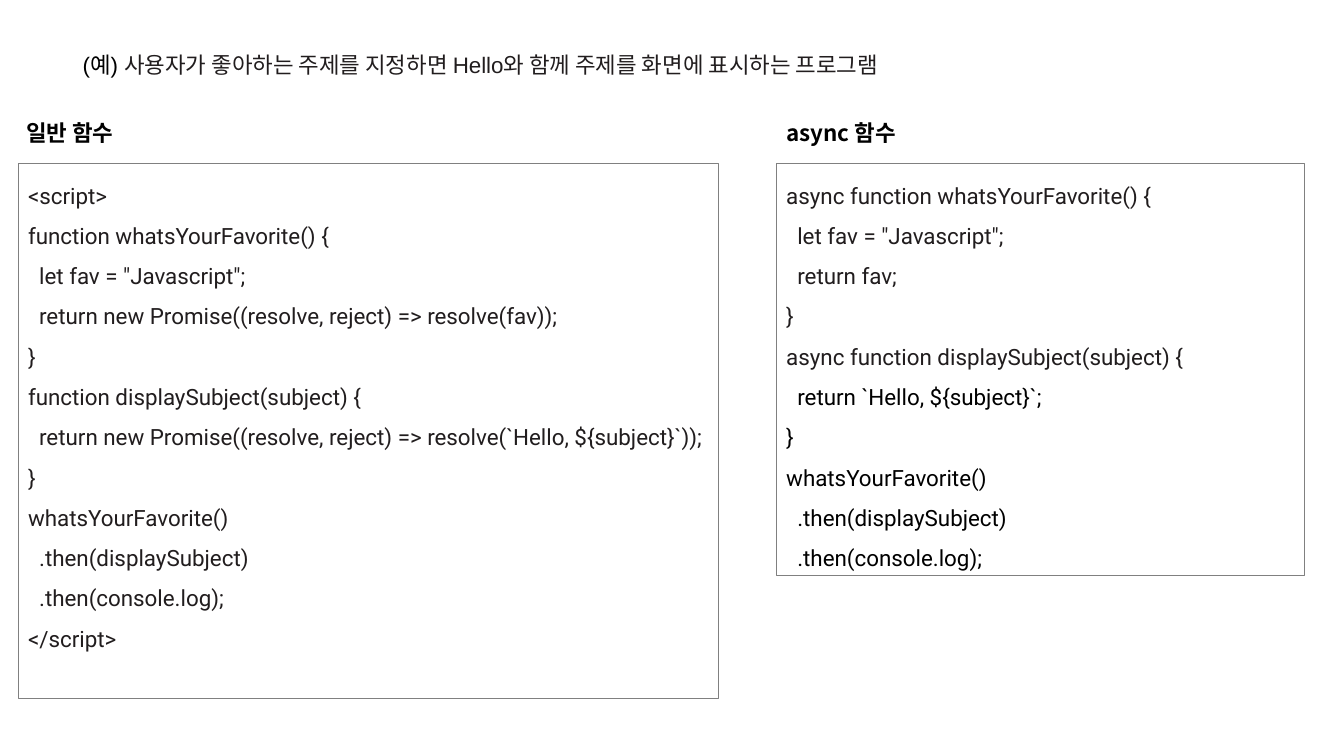
from lxml import etree
from pptx import Presentation, util as u
from pptx.dml.color import RGBColor
from pptx.enum import shapes, text
from pptx.oxml.ns import qn

BLACK, INK, GREY = "000000", "211D1E", "808080"
KOREAN, LATIN, CODE = "Noto Sans CJK KR", "Arial", "Roboto"
LEFT_COLUMN, RIGHT_COLUMN = 0.18, 7.7
HEADING_TOP, CODE_TOP = 1.13, 1.62

PROMISE_CODE = """<script>
function whatsYourFavorite() {
  let fav = "Javascript";
  return new Promise((resolve, reject) => resolve(fav));
}
function displaySubject(subject) {
  return new Promise((resolve, reject) => resolve(`Hello, ${subject}`));
}
whatsYourFavorite()
  .then(displaySubject)
  .then(console.log);
</script>"""

ASYNC_CODE = """async function whatsYourFavorite() {
  let fav = "Javascript";
  return fav;
}
async function displaySubject(subject) {
  return `Hello, ${subject}`;
}
whatsYourFavorite()
  .then(displaySubject)
  .then(console.log);"""


def color(value):
    """Turn a hex string into a colour."""
    return RGBColor.from_string(value)


class SlideBuilder:
    """Holds the text style and the current slide."""

    size = u.Pt(16)
    code_indent = u.Inches(0.11)

    def __init__(self, deck):
        """Add a title-only page to the deck."""
        self.page = deck.slides.add_slide(deck.slide_layouts[5])

    def style(self, font, name, ink, bold=False):
        """Apply the shared size with a face, colour and weight."""
        font.name, font.size, font.bold = name, self.size, bold
        font.color.rgb = color(ink)

    def east_asian(self, span):
        """Set the Korean face of a run."""
        face = etree.SubElement(span.font._element, qn("a:ea"))
        face.set("typeface", KOREAN)

    def frame(self, shape):
        """Prepare a shape's text frame: wrapped, top aligned, fixed size."""
        frame = shape.text_frame
        frame.word_wrap = True
        frame.auto_size = text.MSO_AUTO_SIZE.NONE
        frame.vertical_anchor = text.MSO_ANCHOR.TOP
        return frame

    def title(self, parts, left, top, width, height):
        """Fill the title placeholder with (text, colour) parts."""
        box = self.page.shapes.title
        box.left, box.top = u.Inches(left), u.Inches(top)
        box.width, box.height = u.Inches(width), u.Inches(height)
        para = self.frame(box).paragraphs[0]
        para.alignment = text.PP_ALIGN.LEFT
        for wording, ink in parts:
            span = para.add_run()
            span.text = wording
            self.style(span.font, LATIN, ink)
            self.east_asian(span)

    def heading(self, wording, left):
        """Add a bold heading above a code box."""
        box = self.page.shapes.add_textbox(
            u.Inches(left), u.Inches(HEADING_TOP), u.Inches(1.78), u.Inches(0.37))
        para = self.frame(box).paragraphs[0]
        span = para.add_run()
        span.text = wording
        self.style(para.font, KOREAN, BLACK, bold=True)
        self.style(span.font, KOREAN, BLACK, bold=True)
        self.east_asian(span)

    def code_box(self, code, left, width, height, black_from=None):
        """Add outlined code; lines from black_from onward are black."""
        box = self.page.shapes.add_shape(
            shapes.MSO_SHAPE.RECTANGLE, u.Inches(left), u.Inches(CODE_TOP),
            u.Inches(width), u.Inches(height))
        box.shadow.inherit = False
        box.fill.background()
        box.line.color.rgb = color(GREY)
        box.line.width = u.Pt(0.75)
        frame = self.frame(box)
        for number, line in enumerate(code.splitlines()):
            para = frame.add_paragraph() if number else frame.paragraphs[0]
            para.text = line.strip()
            para.alignment = text.PP_ALIGN.LEFT
            para.line_spacing = 1.5
            is_black = black_from is not None and number >= black_from
            self.style(para.font, CODE, BLACK if is_black else INK)
            if line.startswith(" "):
                para._p.get_or_add_pPr().set("marL", str(self.code_indent))


def main():
    """Build the comparison of plain and async functions."""
    deck = Presentation()
    deck.slide_width, deck.slide_height = u.Inches(13.33), u.Inches(7.5)
    slide = SlideBuilder(deck)
    slide.title(
        [("(예) ", BLACK),
         ("사용자가 좋아하는 주제를 지정하면 Hello와 함께 주제를 화면에 표시하는 프로그램", INK)],
        0.72, 0.46, 9.39, 0.37)
    slide.heading("일반 함수", LEFT_COLUMN - 0.02)
    slide.code_box(PROMISE_CODE, LEFT_COLUMN, 6.95, 5.31)
    slide.heading("async 함수", RIGHT_COLUMN)
    slide.code_box(ASYNC_CODE, RIGHT_COLUMN, 5.24, 4.09, black_from=5)
    deck.save("out.pptx")


main()
